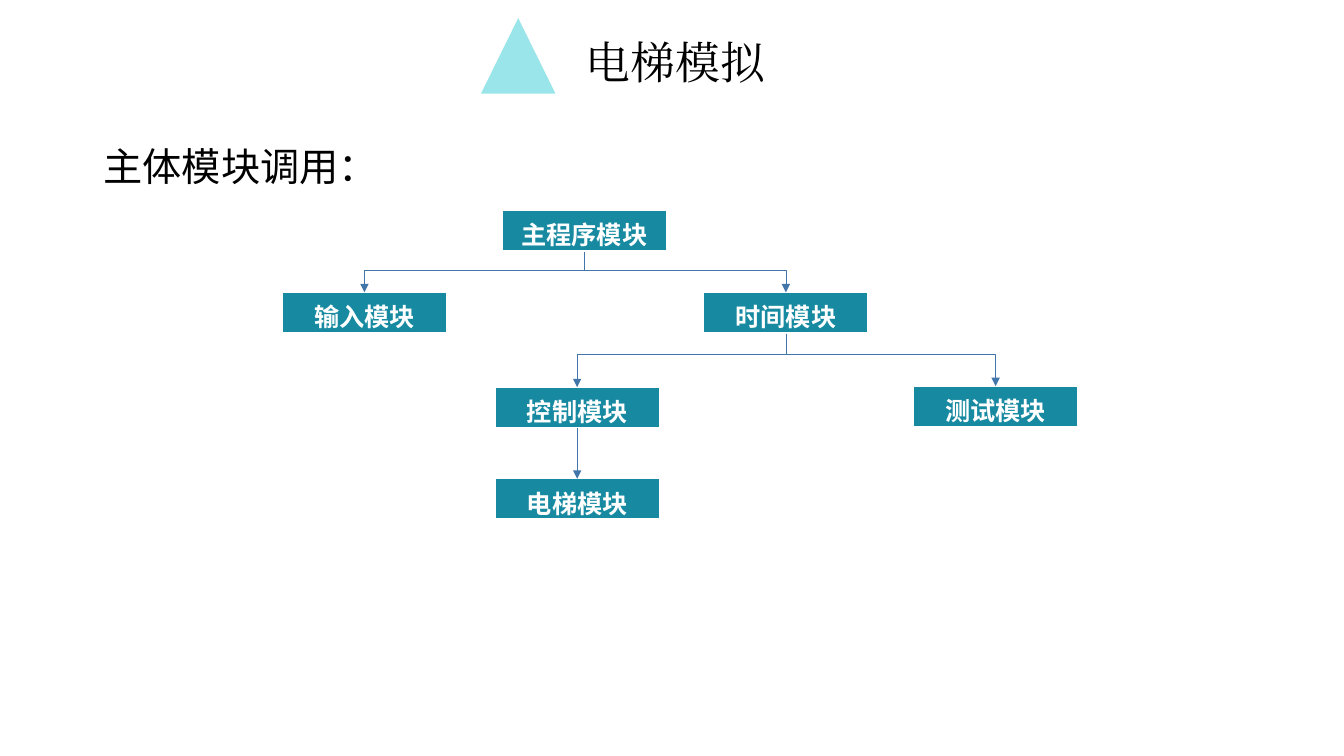
import pptx
import pptx.util
import pptx.dml.color
import pptx.enum.shapes
import pptx.enum.text
import pptx.oxml
import pptx.oxml.ns

Inches, Pt = pptx.util.Inches, pptx.util.Pt
RGBColor = pptx.dml.color.RGBColor
Shapes = pptx.enum.shapes.MSO_SHAPE
Connectors = pptx.enum.shapes.MSO_CONNECTOR
Align = pptx.enum.text.PP_ALIGN

AQUA = RGBColor(0x9A, 0xE5, 0xE9)
TEAL = RGBColor(0x17, 0x8A, 0xA1)
BLUE = RGBColor(0x42, 0x76, 0xAA)
BLACK = RGBColor(0, 0, 0)
WHITE = RGBColor(0xFF, 0xFF, 0xFF)
SANS, SERIF = "Noto Sans CJK SC", "Times New Roman"

MODULE_WIDTH, MODULE_HEIGHT = 1.63, 0.41
# Module name: left and top, in inches
MODULES = {
    "主程序模块": (4.98, 2.09),
    "输入模块": (2.8, 2.9),
    "时间模块": (6.98, 2.9),
    "控制模块": (4.91, 3.84),
    "测试模块": (9.06, 3.83),
    "电梯模块": (4.91, 4.75),
}
# Caller: length of the stem below it, and the modules it calls
CALLS = {
    "主程序模块": (0.18, ["输入模块", "时间模块"]),
    "时间模块": (0.21, ["控制模块", "测试模块"]),
    "控制模块": (0.18, ["电梯模块"]),
}


def add_xml(parent, tag, **attributes):
    child = pptx.oxml.parse_xml(f"<{tag} {pptx.oxml.ns.nsdecls('a')}/>")
    for name, value in attributes.items():
        child.set(name, str(value))
    parent.append(child)
    return child


def write(frame, text, size, font, color, bold=False, align=Align.LEFT):
    frame.text = text
    para = frame.paragraphs[0]
    para.alignment = align
    span = para.runs[0]
    span.font.size, span.font.bold = Pt(size), bold
    span.font.color.rgb = color
    span.font.name = font
    add_xml(span.font._element, "a:ea", typeface=font)


def add_heading(page, left, top):
    """Triangle with the slide title to its right."""
    triangle = page.shapes.add_shape(
        Shapes.ISOSCELES_TRIANGLE, Inches(left), Inches(top), Inches(0.74), Inches(0.75))
    triangle.shadow.inherit = False
    triangle.fill.solid()
    triangle.fill.fore_color.rgb = AQUA
    triangle.line.fill.background()

    title = page.shapes.title
    title.left, title.top = Inches(left + 0.94), Inches(top + 0.11)
    title.width, title.height = Inches(3.47), Inches(0.64)
    title.text_frame.vertical_anchor = pptx.enum.text.MSO_ANCHOR.TOP
    write(title.text_frame, "电梯模拟", 32, SERIF, BLACK)


def add_subheading(page, left, top):
    box = page.shapes.add_textbox(Inches(left), Inches(top), Inches(2.95), Inches(0.57))
    box.text_frame.word_wrap = False
    write(box.text_frame, "主体模块调用：", 28, SANS, BLACK)


def add_module(page, name, left, top):
    """One-cell table with white borders, the lower one heavier."""
    table = page.shapes.add_table(
        1, 1, Inches(left), Inches(top), Inches(MODULE_WIDTH), Inches(MODULE_HEIGHT)).table
    cell = table.cell(0, 0)
    write(cell.text_frame, name, 18, SANS, WHITE, True, Align.CENTER)
    properties = cell._tc.get_or_add_tcPr()
    for side, width in (("L", 1), ("R", 1), ("T", 1), ("B", 3)):
        border = add_xml(properties, f"a:ln{side}", w=Pt(width))
        add_xml(add_xml(border, "a:solidFill"), "a:srgbClr", val=WHITE)
    cell.fill.solid()
    cell.fill.fore_color.rgb = TEAL


def add_line(page, start, end, arrow=True):
    """Straight line, or one bend (across, then down) if the ends are not aligned."""
    bent = start[0] != end[0]
    line = page.shapes.add_connector(
        Connectors.ELBOW if bent else Connectors.STRAIGHT,
        *(Inches(length) for length in start + end))
    line.line.color.rgb = BLUE
    line.line.width = Pt(0.5)
    properties = line._element.spPr
    if bent:
        properties.prstGeom.set("prst", "bentConnector2")
    if arrow:
        add_xml(line.line._get_or_add_ln(), "a:tailEnd", type="triangle")
    add_xml(properties, "a:effectLst")


def add_call_tree(page):
    for name, (left, top) in MODULES.items():
        add_module(page, name, left, top)
    for caller, (stem, called) in CALLS.items():
        left, top = MODULES[caller]
        center, bottom = left + MODULE_WIDTH / 2, top + MODULE_HEIGHT
        fork = (center, bottom + stem)
        add_line(page, (center, bottom), fork, arrow=False)
        for name in called:
            left, top = MODULES[name]
            add_line(page, fork, (left + MODULE_WIDTH / 2, top))


def main():
    deck = pptx.Presentation()
    deck.slide_width, deck.slide_height = Inches(13.33), Inches(7.5)
    page = deck.slides.add_slide(deck.slide_layouts[5])
    add_heading(page, 4.77, 0.18)
    add_subheading(page, 0.93, 1.36)
    add_call_tree(page)
    deck.save("out.pptx")


if __name__ == "__main__":
    main()
